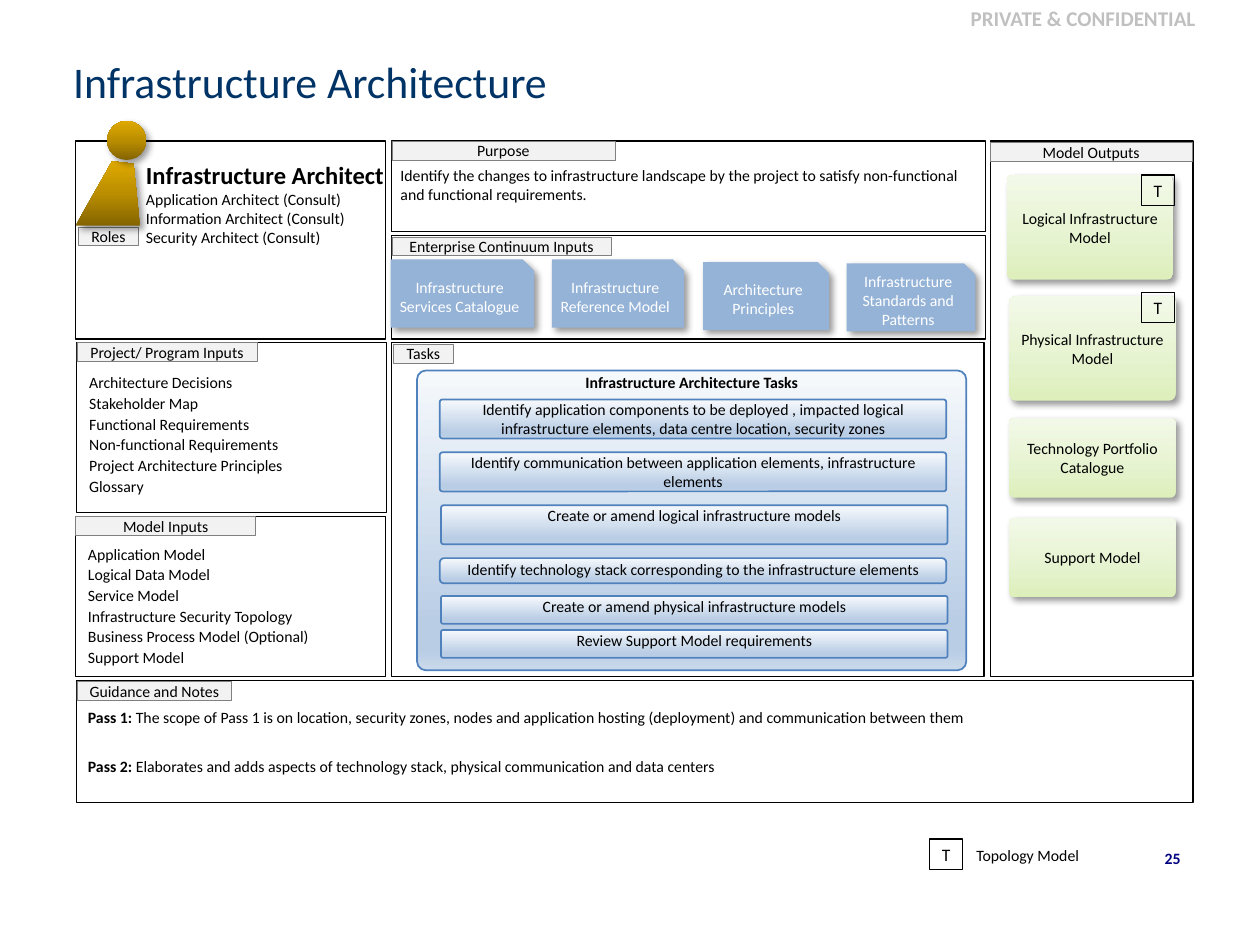
import pptx
import pptx.dml.color
import pptx.enum.shapes
import pptx.enum.text
import pptx.oxml
import pptx.oxml.ns
import pptx.util

Inches = pptx.util.Inches
Pt = pptx.util.Pt
RGBColor = pptx.dml.color.RGBColor
SHAPE = pptx.enum.shapes.MSO_SHAPE
ALIGN = pptx.enum.text.PP_ALIGN
ANCHOR = pptx.enum.text.MSO_ANCHOR
FIT = pptx.enum.text.MSO_AUTO_SIZE

BLACK = RGBColor(0, 0, 0)
WHITE = RGBColor(255, 255, 255)
SILVER = RGBColor(0xC0, 0xC0, 0xC0)
GREY = RGBColor(0x80, 0x80, 0x80)
LABEL = RGBColor(0xF2, 0xF2, 0xF2)
TITLE = RGBColor(0x00, 0x33, 0x66)
NAVY = RGBColor(0x00, 0x00, 0x80)
BLUE = RGBColor(0x4F, 0x81, 0xBD)
CARD_BLUE = RGBColor(0x95, 0xB3, 0xD7)

# Gradients: stops (percent, colour) and clockwise angle
TASK_FILL = ([(0, RGBColor(0xF6, 0xF9, 0xFC)), (85, RGBColor(0xB9, 0xCD, 0xE5)),
              (93, RGBColor(0xB9, 0xCD, 0xE5)), (100, RGBColor(0xCA, 0xD9, 0xEB))], 90)
OUTPUT_FILL = ([(0, RGBColor(0xDD, 0xEF, 0xBB)), (50, RGBColor(0xE8, 0xF4, 0xD4)),
                (100, RGBColor(0xF3, 0xF9, 0xE9))], 270)
GOLD_FILL = ([(0, RGBColor(0x84, 0x64, 0x00)), (50, RGBColor(0xBB, 0x8E, 0x00)),
              (100, RGBColor(0xDE, 0xA9, 0x00))], 270)

NO_INSETS = (0, 0, 0, 0)
INSETS = (0.1, 0.05, 0.1, 0.05)

PANELS = [(3.11, 1.87, 4.71, 0.82), (7.86, 1.12, 1.61, 4.25), (3.11, 2.72, 4.7, 2.65),
          (0.6, 1.12, 2.46, 1.57), (0.61, 5.4, 8.86, 0.97), (3.11, 1.12, 4.71, 0.72)]
LABELS = [("Project/ Program Inputs", 0.61, 2.72, 1.43),
          ("Enterprise Continuum Inputs", 3.11, 1.88, 1.74),
          ("Tasks", 3.12, 2.73, 0.48), ("Model Outputs", 7.86, 1.13, 1.6),
          ("Roles", 0.62, 1.8, 0.48), ("Guidance and Notes", 0.61, 5.41, 1.23),
          ("Purpose", 3.11, 1.12, 1.77), ("Model Inputs", 0.6, 4.1, 1.43)]
PROJECT_INPUTS = ["Architecture Decisions", "Stakeholder Map", "Functional Requirements",
                  "Non-functional Requirements", "Project Architecture Principles", "Glossary"]
MODEL_INPUTS = ["Application Model", "Logical Data Model", "Service Model",
                "Infrastructure Security Topology", "Business Process Model (Optional)",
                "Support Model"]
CONTINUUM = [("Infrastructure Services Catalogue", 3.1, 2.06, 1.14),
             ("Infrastructure Reference Model", 4.38, 2.06, 1.05),
             ("Architecture Principles", 5.58, 2.08, 1),
             ("Infrastructure Standards and Patterns", 6.72, 2.09, 1.02)]
TASKS = [("Identify application components to be deployed , impacted logical infrastructure "
          "elements, data centre location, security zones", 3.49, 3.17, 0.31, 0.07),
         ("Identify communication between application elements, infrastructure elements",
          3.49, 3.59, 0.31, 0.07),
         ("Create or amend logical infrastructure models", 3.5, 4.01, 0.31, 0.07),
         ("Identify technology stack corresponding to the infrastructure elements",
          3.49, 4.43, 0.2, 0.17),
         ("Create or amend physical infrastructure models", 3.5, 4.73, 0.22, 0.07),
         ("Review Support Model requirements", 3.5, 5, 0.22, 0.07)]
OUTPUTS = [("Logical Infrastructure Model", 7.99, 1.39, 0.83),
           ("Physical Infrastructure Model", 8.01, 2.35, 0.83),
           ("Technology Portfolio Catalogue", 8.01, 3.32, 0.63),
           ("Support Model", 8.01, 4.11, 0.63)]
BADGES = [(9.06, 1.39), (9.06, 2.32), (7.38, 6.66)]
NOTES = [("Pass 1: ", "The scope of Pass 1 is on location, security zones, nodes and application "
          "hosting (deployment) and communication between them", 5.57),
         ("Pass 2: ", "Elaborates and adds aspects of technology stack, physical communication "
          "and data centers", 5.96)]


def set_values(target, values):
    for name, value in values.items():
        setattr(target, name, value)


def write(box, paragraphs, color=BLACK, size=9, bold=False, align=ALIGN.LEFT,
          insets=INSETS, anchor=ANCHOR.TOP, wrap=True, fit=FIT.NONE, after=0):
    """Each paragraph is a string or a list of (text, font values)."""
    frame = box.text_frame
    left, top, right, bottom = map(Inches, insets)
    set_values(frame, {"margin_left": left, "margin_top": top, "margin_right": right,
                       "margin_bottom": bottom, "vertical_anchor": anchor,
                       "word_wrap": wrap, "auto_size": fit})
    for index, spans in enumerate(paragraphs):
        para = frame.add_paragraph() if index else frame.paragraphs[0]
        set_values(para, {"alignment": align, "space_after": Pt(after)})
        for text, extra in [(spans, {})] if isinstance(spans, str) else spans:
            span = para.add_run()
            span.text = text
            set_values(span.font, {"name": "Calibri", "size": Pt(size), "bold": bold, **extra})
            span.font.color.rgb = color


def add_text(page, area, paragraphs, **style):
    box = page.shapes.add_textbox(*map(Inches, area))
    write(box, paragraphs, **style)


def paint(shape, fill=None, line=None, width=0.75, shadow=False):
    shape.shadow.inherit = False
    if fill is None:
        shape.fill.background()
    elif isinstance(fill, RGBColor):
        shape.fill.solid()
        shape.fill.fore_color.rgb = fill
    else:
        stops, angle = fill
        shape.fill.gradient()
        shape.fill.gradient_angle = 360 - angle
        stop_list = shape._element.spPr.find(".//" + pptx.oxml.ns.qn("a:gsLst"))
        for old in list(stop_list):
            stop_list.remove(old)
        for percent, color in stops:
            stop_list.append(pptx.oxml.parse_xml(
                f'<a:gs {pptx.oxml.ns.nsdecls("a")} pos="{percent * 1000}">'
                f'<a:srgbClr val="{color}"/></a:gs>'))
    if line is None:
        shape.line.fill.background()
    else:
        shape.line.color.rgb = line
        shape.line.width = Pt(width)
    if shadow:
        effects = shape._element.spPr.find(pptx.oxml.ns.qn("a:effectLst"))
        effects.append(pptx.oxml.parse_xml(
            f'<a:outerShdw {pptx.oxml.ns.nsdecls("a")} blurRad="{Pt(4)}" dist="{Pt(3)}" '
            'dir="2700000" algn="tl" rotWithShape="0"><a:srgbClr val="000000">'
            '<a:alpha val="40000"/></a:srgbClr></a:outerShdw>'))


def add_box(parent, area, kind=SHAPE.RECTANGLE, corner=None, **look):
    box = parent.shapes.add_shape(kind, *map(Inches, area))
    if corner is not None:
        box.adjustments[0] = corner
    paint(box, **look)
    return box


def add_list_panel(page, area, items, top):
    panel = add_box(page, area, fill=WHITE, line=BLACK)
    write(panel, items, insets=(0.1, top, 0.1, 0.05), after=1)


def add_role_figure(page):
    figure = page.shapes.add_group_shape()
    builder = figure.shapes.build_freeform(Inches(0.6), Inches(1.79))
    corners = [(0.89, 1.28), (1.06, 1.3), (1.11, 1.79)]
    builder.add_line_segments([(Inches(x), Inches(y)) for x, y in corners], close=True)
    paint(builder.convert_to_shape(), fill=GOLD_FILL, shadow=True)
    add_box(figure, (0.85, 0.96, 0.31, 0.31), SHAPE.OVAL, fill=GOLD_FILL, shadow=True)


def main():
    deck = pptx.Presentation()
    deck.slide_width, deck.slide_height = Inches(10), Inches(7.5)
    page = deck.slides.add_slide(deck.slide_layouts[6])
    centred = {"align": ALIGN.CENTER, "insets": NO_INSETS}
    middle = {**centred, "anchor": ANCHOR.MIDDLE}

    # Heading, marking and page number
    add_text(page, (6.17, 0, 3.41, 0.29), ["PRIVATE & CONFIDENTIAL"], color=SILVER, size=12,
             bold=True, align=ALIGN.RIGHT, insets=(0.09, 0.04, 0.09, 0.04))
    add_text(page, (0.49, 0.28, 8.91, 0.73), ["Infrastructure Architecture"], color=TITLE,
             size=25, anchor=ANCHOR.MIDDLE, insets=(0.09, 0.05, 0.09, 0.05))
    add_text(page, (9.06, 6.69, 0.4, 0.3), ["25"], color=NAVY, bold=True, align=ALIGN.RIGHT,
             insets=(0.09, 0.05, 0.09, 0.05))

    # Panels
    for area in PANELS:
        add_box(page, area, fill=WHITE, line=BLACK)
    add_list_panel(page, (0.61, 2.72, 2.46, 1.35), PROJECT_INPUTS, 0.24)
    add_list_panel(page, (0.6, 4.1, 2.46, 1.27), MODEL_INPUTS, 0.22)

    # Purpose, roles and notes
    add_text(page, (3.08, 1.27, 4.71, 0.4),
             ["Identify the changes to infrastructure landscape by the project to satisfy "
              "non-functional and functional requirements."])
    add_text(page, (1.06, 1.22, 2.25, 0.79),
             [[("Infrastructure Architect", {"size": Pt(14), "bold": True})],
              "Application Architect (Consult)", "Information Architect (Consult)",
              "Security Architect (Consult)"])
    for heading, note, top in NOTES:
        add_text(page, (0.6, top, 8.86, 0.25), [[(heading, {"bold": True}), (note, {})]])

    # Enterprise continuum cards
    for text, left, top, width in CONTINUUM:
        card = add_box(page, (left, top, width, 0.54), SHAPE.SNIP_1_RECTANGLE,
                       fill=CARD_BLUE, shadow=True)
        write(card, [text], color=WHITE, **middle)

    # Tasks
    frame = add_box(page, (3.31, 2.94, 4.36, 2.38), SHAPE.ROUNDED_RECTANGLE, 0.03,
                    fill=TASK_FILL, line=BLUE, width=1)
    write(frame, ["Infrastructure Architecture Tasks"], bold=True, align=ALIGN.CENTER,
          insets=(0.1, 0, 0.1, 0.1))
    for text, left, top, height, corner in TASKS:
        task = add_box(page, (left, top, 4.02, height), SHAPE.ROUNDED_RECTANGLE, corner,
                       fill=TASK_FILL, line=BLUE, width=1)
        write(task, [text], **centred)

    # Model outputs
    for text, left, top, height in OUTPUTS:
        output = add_box(page, (left, top, 1.32, height), SHAPE.ROUNDED_RECTANGLE, 0.06,
                         fill=OUTPUT_FILL, shadow=True)
        write(output, [text], **middle)

    # Panel labels
    for text, left, top, width in LABELS:
        label = add_box(page, (left, top, width, 0.15), fill=LABEL, line=GREY, width=0.25)
        write(label, [text], fit=FIT.SHAPE_TO_FIT_TEXT, **centred)
    add_role_figure(page)

    # Topology badges and legend
    for left, top in BADGES:
        badge = add_box(page, (left, top, 0.26, 0.24), line=BLACK)
        write(badge, ["T"], size=10, **middle)
    add_text(page, (7.65, 6.66, 1.04, 0.25), ["Topology Model"], wrap=False)

    deck.save("out.pptx")


if __name__ == "__main__":
    main()
